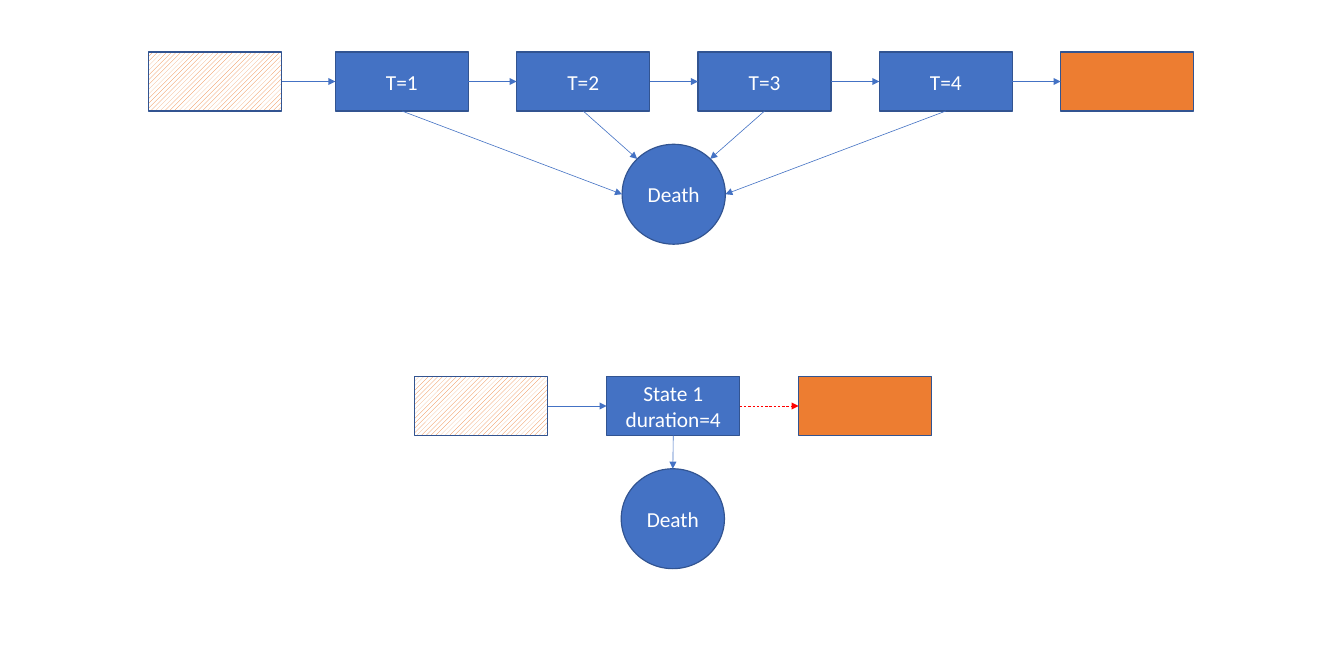
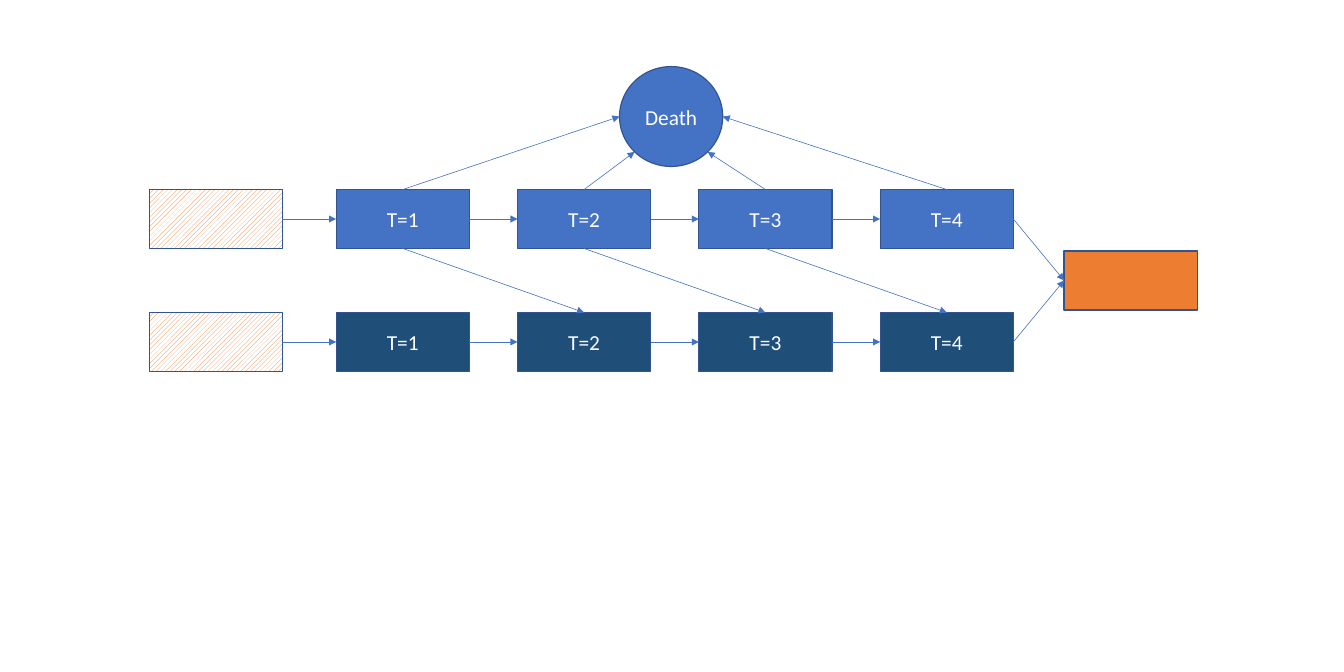
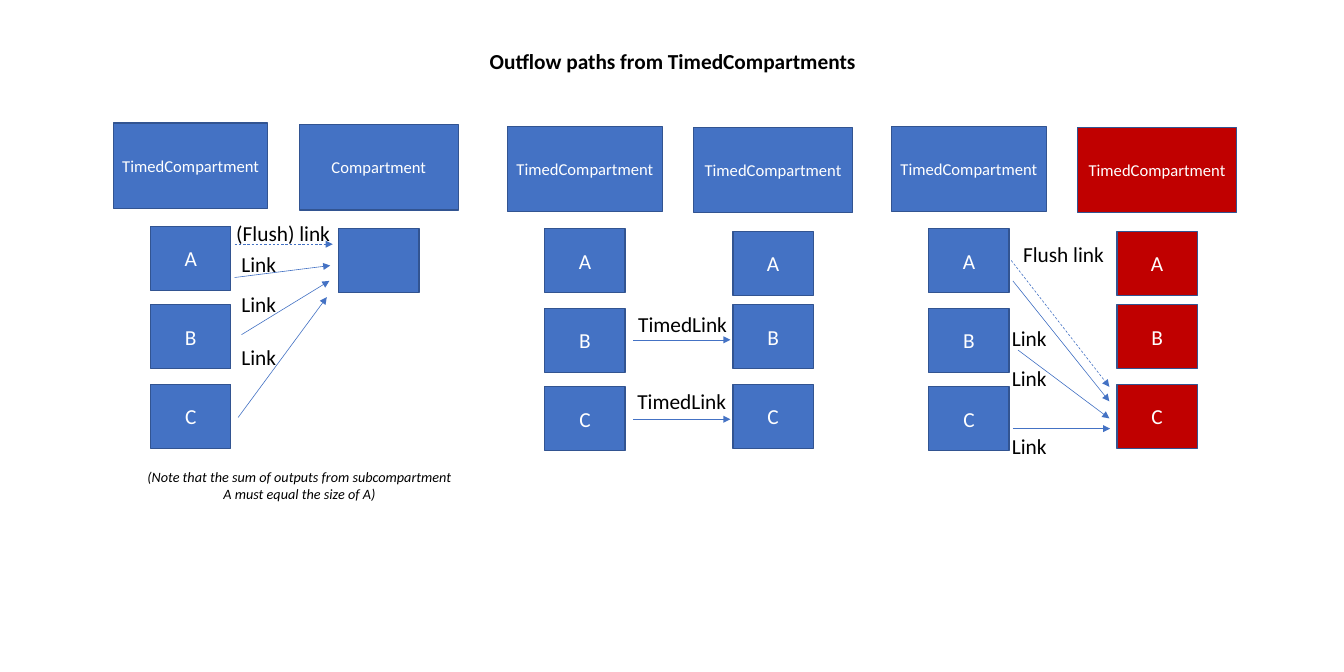
"""Build three slides of state-transition diagrams."""
from dataclasses import dataclass
from enum import IntEnum
from math import cos, radians, sin

from lxml import etree
from pptx import Presentation
from pptx import util as u
from pptx.dml.color import RGBColor
from pptx.enum import dml, shapes, text
from pptx.oxml import ns


class Side(IntEnum):
    TOP = 0
    LEFT = 1
    BOTTOM = 2
    RIGHT = 3


@dataclass(frozen=True)
class Theme:
    font: str = "Calibri"
    blue: str = "4472C4"
    navy: str = "1F4E79"
    orange: str = "ED7D31"
    crimson: str = "C00000"
    red: str = "FF0000"
    outline: str = "325491"
    white: str = "FFFFFF"
    black: str = "000000"
    body: int = 18
    header: int = 14
    note: int = 12
    outline_width: float = 1
    arrow_width: float = 0.5


THEME = Theme()
STATE_W, STATE_H = 1.56, 0.69
DISC_W, DISC_H = 1.21, 1.17
CELL_W, CELL_H = 0.94, 0.75
STATE_STEP = 8.5 / 4
ENTRY_STEP = 2.19


def rgb(value):
    return RGBColor.from_string(value)


def write(frame, words, size=THEME.body, color=THEME.black, align=None, bold=False, italic=False):
    para = frame.paragraphs[0]
    para.text = words
    para.alignment = align
    for span in para.runs:
        span.font.name = THEME.font
        span.font.size = u.Pt(size)
        span.font.color.rgb = rgb(color)
        span.font.bold = bold
        span.font.italic = italic


class Diagram:
    """Draws styled elements on the current page of a deck."""

    def __init__(self):
        self.deck = Presentation()
        self.deck.slide_width = u.Inches(15.75)
        self.deck.slide_height = u.Inches(7.87)
        self.page = None

    def new_page(self):
        self.page = self.deck.slides.add_slide(self.deck.slide_layouts[6])

    def box(self, left, top, width, height, words="", fill=THEME.blue, size=THEME.body,
            kind=shapes.MSO_SHAPE.RECTANGLE):
        box = self.page.shapes.add_shape(kind, *map(u.Inches, (left, top, width, height)))
        box.shadow.inherit = False
        box.fill.solid()
        box.fill.fore_color.rgb = rgb(fill)
        box.line.color.rgb = rgb(THEME.outline)
        box.line.width = u.Pt(THEME.outline_width)
        box.text_frame.vertical_anchor = text.MSO_ANCHOR.MIDDLE
        if words:
            write(box.text_frame, words, size, THEME.white, text.PP_ALIGN.CENTER)
        return box

    def state(self, left, top, words="", fill=THEME.blue):
        return self.box(left, top, STATE_W, STATE_H, words, fill)

    def entry(self, left, top):
        box = self.state(left, top)
        box.fill.patterned()
        box.fill.pattern = dml.MSO_PATTERN.WIDE_UPWARD_DIAGONAL
        box.fill.fore_color.rgb = rgb(THEME.orange)
        box.fill.back_color.rgb = rgb(THEME.white)
        return box

    def death(self, left, top):
        return self.box(left, top, DISC_W, DISC_H, "Death", kind=shapes.MSO_SHAPE.OVAL)

    def label(self, left, top, width, words, height=0.44, wrap=False, **style):
        box = self.page.shapes.add_textbox(*map(u.Inches, (left, top, width, height)))
        box.text_frame.word_wrap = wrap
        box.text_frame.auto_size = text.MSO_AUTO_SIZE.SHAPE_TO_FIT_TEXT
        write(box.text_frame, words, **style)

    def spot(self, end):
        first, second = end
        if not isinstance(second, Side):
            return u.Inches(first), u.Inches(second)
        across, down = {Side.TOP: (1, 0), Side.LEFT: (0, 1),
                        Side.BOTTOM: (1, 2), Side.RIGHT: (2, 1)}[second]
        return first.left + first.width * across // 2, first.top + first.height * down // 2

    def arrow(self, start, end, color=THEME.blue, dashed=False):
        line = self.page.shapes.add_connector(
            shapes.MSO_CONNECTOR.STRAIGHT, *self.spot(start), *self.spot(end))
        if isinstance(start[1], Side):
            line.begin_connect(*start)
        if isinstance(end[1], Side):
            line.end_connect(*end)
        line.line.color.rgb = rgb(color)
        line.line.width = u.Pt(THEME.arrow_width)
        if dashed:
            line.line.dash_style = dml.MSO_LINE.DASH
        properties = line._element.spPr
        etree.SubElement(properties.find(ns.qn("a:ln")), ns.qn("a:tailEnd"), type="triangle")
        etree.SubElement(properties, ns.qn("a:effectLst"))

    def chain(self, left, top, fill=THEME.blue):
        states = [self.state(left + i * STATE_STEP, top, f"T={i + 1}", fill) for i in range(4)]
        self.link_row([self.entry(left - ENTRY_STEP, top), *states])
        return states

    def link_row(self, boxes):
        for source, target in zip(boxes, boxes[1:]):
            self.arrow((source, Side.RIGHT), (target, Side.LEFT))

    def deaths(self, states, side, disc, angles):
        for state, angle in zip(states, angles):
            self.arrow((state, side), rim(disc, angle))

    def column(self, left, top, width, title, fill, names, cell_tops):
        self.box(left, top, width, 1, title, fill, THEME.header)
        for name, cell_top in zip(names, cell_tops):
            self.box(left + (width - CELL_W) / 2, cell_top, CELL_W, CELL_H, name, fill)


def rim(disc, angle):
    turn = radians(angle)
    x = disc.left + disc.width / 2 * (1 + cos(turn))
    y = disc.top + disc.height / 2 * (1 + sin(turn))
    return u.Emu(int(x)).inches, u.Emu(int(y)).inches


def duration_page(diagram):
    diagram.new_page()
    states = diagram.chain(3.93, 0.61)
    outcome = diagram.state(3.93 + 4 * STATE_STEP, 0.61, fill=THEME.orange)
    diagram.link_row([states[-1], outcome])
    diagram.deaths(states, Side.BOTTOM, diagram.death(7.29, 1.69), (180, 225, 315, 0))

    entry = diagram.entry(4.86, 4.41)
    state = diagram.state(7.11, 4.41, "State 1\nduration=4")
    outcome = diagram.state(9.36, 4.41, fill=THEME.orange)
    diagram.link_row([entry, state])
    diagram.arrow((state, Side.RIGHT), (outcome, Side.LEFT), THEME.red, dashed=True)
    diagram.deaths([state], Side.BOTTOM, diagram.death(7.28, 5.49), [270])


def parallel_page(diagram):
    diagram.new_page()
    upper = diagram.chain(3.94, 2.22)
    lower = diagram.chain(3.94, 3.66, THEME.navy)
    outcome = diagram.state(12.47, 2.94, fill=THEME.orange)
    for states in (upper, lower):
        diagram.link_row([states[-1], outcome])
    for source, target in zip(upper, lower[1:]):
        diagram.arrow((source, Side.BOTTOM), (target, Side.TOP))
    diagram.deaths(upper, Side.TOP, diagram.death(7.26, 0.78), (180, 135, 45, 0))


def outflow_page(diagram):
    diagram.new_page()
    diagram.label(5.64, 0.52, 5.13, "Outflow paths from TimedCompartments", bold=True)

    timed = "TimedCompartment"
    source_tops, target_tops = (2.68, 3.61, 4.53), (2.71, 3.57, 4.5)
    for column in (
        (1.33, 1.44, 1.81, timed, THEME.blue, "ABC", (2.65, 3.57, 4.5)),
        (3.51, 1.46, 1.86, "Compartment", THEME.blue, [""], [2.68]),
        (5.95, 1.48, 1.81, timed, THEME.blue, "ABC", source_tops),
        (8.13, 1.49, 1.86, timed, THEME.blue, "ABC", target_tops),
        (10.45, 1.48, 1.81, timed, THEME.blue, "ABC", source_tops),
        (12.63, 1.49, 1.86, timed, THEME.crimson, "ABC", target_tops),
    ):
        diagram.column(*column)

    for start, end, dashed in (
        ((2.75, 2.86), (3.9, 2.86), True),
        ((2.75, 3.25), (3.87, 3.11), False),
        ((2.83, 3.92), (3.86, 3.29), False),
        ((2.79, 4.89), (3.83, 3.48), False),
        ((7.42, 3.98), (8.56, 3.98), False),
        ((7.42, 4.91), (8.56, 4.91), False),
        ((11.85, 3.05), (13, 4.53), True),
        ((11.87, 3.29), (13, 4.7), False),
        ((11.93, 4.1), (13, 4.9), False),
        ((11.87, 5.02), (13.01, 5.02), False),
    ):
        diagram.arrow(start, end, dashed=dashed)

    for left, tops in ((2.73, (2.89, 3.36, 3.98)), (11.76, (3.76, 4.23, 5.02))):
        for top in tops:
            diagram.label(left, top, 0.67, "Link")
    for left, top in ((7.38, 3.59), (7.37, 4.5)):
        diagram.label(left, top, 1.26, "TimedLink", height=0.4)
    diagram.label(2.67, 2.53, 1.46, "(Flush) link")
    diagram.label(11.89, 2.78, 1.29, "Flush link")
    diagram.label(
        1.62, 5.43, 3.78,
        "(Note that the sum of outputs from subcompartment A must equal the size of A)",
        height=0.5, wrap=True, size=THEME.note, align=text.PP_ALIGN.CENTER, italic=True)


def main():
    diagram = Diagram()
    duration_page(diagram)
    parallel_page(diagram)
    outflow_page(diagram)
    diagram.deck.save("out.pptx")


if __name__ == "__main__":
    main()
